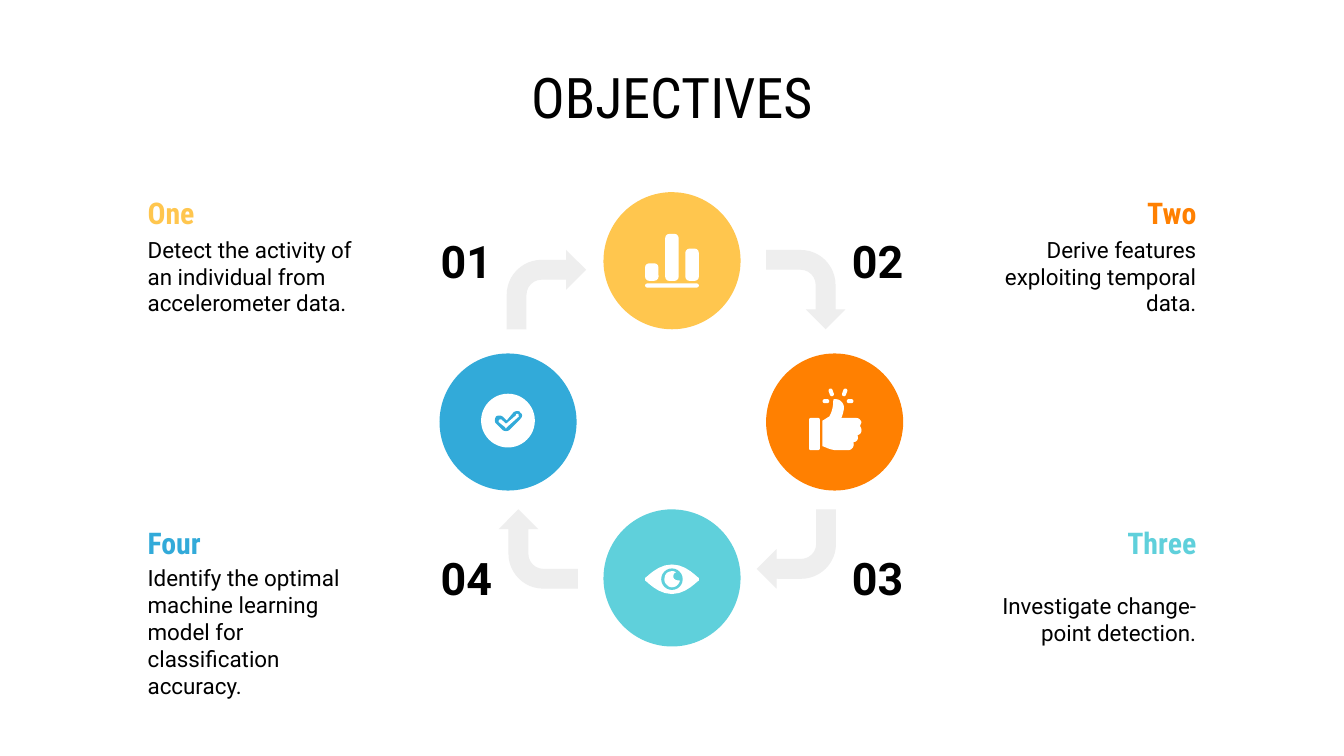
from pptx import Presentation
from pptx.dml.color import RGBColor
from pptx.enum.shapes import MSO_SHAPE as Preset
from pptx.enum.text import MSO_ANCHOR as Anchor, PP_ALIGN as Align
from pptx.util import Inches, Pt

COLORS = {"yellow": "FFC64E", "orange": "FF8001", "teal": "5FD0DB", "blue": "32AAD9",
          "gray": "EEEEEE", "white": "FFFFFF", "black": "000000"}
DISC = 1.02
ARROW = 0.59
HEADING_WIDTH, HEADING_HEIGHT = 2.16, 0.31
BODY_WIDTH = 1.85
NUMBER_WIDTH, NUMBER_HEIGHT = 0.62, 0.4


def paint(shape, color):
    """Give a shape a plain fill without line or shadow."""
    shape.shadow.inherit = False
    shape.fill.solid()
    shape.fill.fore_color.rgb = RGBColor.from_string(COLORS[color])
    shape.line.fill.background()


def add_preset(page, preset, box, color, adjustments=(), rotation=0):
    """Add a plain preset shape in a box of inches."""
    shape = page.shapes.add_shape(preset, *map(Inches, box))
    for index, value in enumerate(adjustments):
        shape.adjustments[index] = value
    shape.rotation = rotation
    paint(shape, color)


def add_outline(page, left, top, start, segments, color, steps=6):
    """Add a closed outline of lines (2 numbers) and cubic curves (6 numbers)."""
    points = [start]
    for segment in segments:
        if len(segment) == 2:
            points.append(segment)
            continue
        knots = (points[-1], segment[:2], segment[2:4], segment[4:])
        for step in range(1, steps + 1):
            t = step / steps
            weights = ((1 - t) ** 3, 3 * t * (1 - t) ** 2, 3 * t * t * (1 - t), t ** 3)
            points.append(tuple(sum(weight * knot[axis] for weight, knot in zip(weights, knots))
                                for axis in (0, 1)))
    places = [(Inches(left + x), Inches(top + y)) for x, y in points]
    builder = page.shapes.build_freeform(*places[0], scale=1.0)
    builder.add_line_segments(places[1:], close=True)
    paint(builder.convert_to_shape(), color)


def add_text(page, box, text, size, font, color="black", bold=False, align=Align.LEFT, inset=0.1):
    """Add one paragraph of wrapped, vertically centred text."""
    frame = page.shapes.add_textbox(*map(Inches, box)).text_frame
    frame.word_wrap = True
    frame.vertical_anchor = Anchor.MIDDLE
    frame.margin_left = frame.margin_right = Inches(inset)
    frame.margin_top = frame.margin_bottom = Inches(inset)
    para = frame.paragraphs[0]
    para.text = text
    para.alignment = align
    para.font.size = Pt(size)
    para.font.name = font
    para.font.bold = bold
    para.font.color.rgb = RGBColor.from_string(COLORS[color])


def add_objective(page, left, top, number, heading, body, body_height, color, on_right, number_drop):
    """Add a heading, its body and the number on the side facing the cycle."""
    align = Align.RIGHT if on_right else Align.LEFT
    body_left = left + HEADING_WIDTH - BODY_WIDTH if on_right else left
    number_left = left - NUMBER_WIDTH if on_right else left + HEADING_WIDTH
    add_text(page, (left, top, HEADING_WIDTH, HEADING_HEIGHT), heading, 16,
             "Roboto Condensed", color, True, align)
    add_text(page, (body_left, top + HEADING_HEIGHT, BODY_WIDTH, body_height), body, 12,
             "Roboto", align=align)
    add_text(page, (number_left, top + number_drop, NUMBER_WIDTH, NUMBER_HEIGHT), number, 24,
             "Roboto", bold=True, align=Align.CENTER, inset=0)


def add_bars_icon(page, left, top):
    """Add three rounded bars on a base line."""
    base = 0.66
    for x, height in ((0.31, 0.13), (0.46, 0.35), (0.61, 0.24)):
        add_preset(page, Preset.ROUNDED_RECTANGLE, (left + x, top + base - height, 0.1, height),
                   "white", (0.3,))
    add_preset(page, Preset.ROUNDED_RECTANGLE, (left + 0.31, top + 0.68, 0.4, 0.03), "white", (0.5,))


def add_thumb_icon(page, left, top):
    """Add a raised thumb with four rays."""
    for x, y, width, height, rotation in ((0.42, 0.34, 0.05, 0.03, 0), (0.6, 0.34, 0.05, 0.03, 0),
                                          (0.47, 0.26, 0.03, 0.06, -20), (0.57, 0.26, 0.03, 0.06, 20)):
        add_preset(page, Preset.ROUNDED_RECTANGLE, (left + x, top + y, width, height),
                   "white", (0.5,), rotation)
    add_preset(page, Preset.ROUNDED_RECTANGLE, (left + 0.32, top + 0.48, 0.08, 0.24), "white", (0.15,))
    add_outline(page, left, top, (0.51, 0.34), [
        (0.5, 0.34, 0.5, 0.35, 0.5, 0.36), (0.5, 0.39, 0.49, 0.44, 0.47, 0.47),
        (0.45, 0.48, 0.44, 0.49, 0.42, 0.5), (0.42, 0.69),
        (0.45, 0.7, 0.48, 0.72, 0.53, 0.72), (0.61, 0.72),
        (0.64, 0.72, 0.66, 0.69, 0.65, 0.66), (0.68, 0.66, 0.69, 0.63, 0.68, 0.61),
        (0.71, 0.6, 0.72, 0.57, 0.7, 0.54), (0.7, 0.53, 0.71, 0.52, 0.71, 0.51),
        (0.7, 0.49, 0.69, 0.48, 0.67, 0.48), (0.56, 0.48),
        (0.57, 0.46, 0.58, 0.42, 0.58, 0.4), (0.58, 0.37, 0.55, 0.34, 0.52, 0.34)], "white")


def add_eye_icon(page, left, top):
    """Add an eye with a ringed iris and a notched pupil."""
    add_outline(page, left, top, (0.51, 0.41), [
        (0.4, 0.41, 0.32, 0.51, 0.31, 0.51), (0.31, 0.53),
        (0.32, 0.53, 0.4, 0.63, 0.51, 0.63), (0.62, 0.63, 0.7, 0.53, 0.71, 0.53),
        (0.71, 0.51), (0.7, 0.51, 0.62, 0.41, 0.51, 0.41)], "white")
    add_preset(page, Preset.OVAL, (left + 0.43, top + 0.44, 0.16, 0.16), "teal")
    add_outline(page, left, top, (0.51, 0.46), [
        (0.49, 0.46, 0.47, 0.47, 0.46, 0.49), (0.45, 0.52, 0.45, 0.54, 0.47, 0.56),
        (0.48, 0.57, 0.49, 0.58, 0.51, 0.58), (0.54, 0.58, 0.56, 0.56, 0.57, 0.53),
        (0.54, 0.53, 0.52, 0.52, 0.52, 0.5), (0.52, 0.48, 0.53, 0.47, 0.54, 0.47),
        (0.53, 0.46, 0.52, 0.46, 0.51, 0.46)], "white")


def add_check_icon(page, left, top):
    """Add an outlined check mark in a white disc."""
    add_preset(page, Preset.OVAL, (left + 0.31, top + 0.3, 0.4, 0.4), "white")
    add_outline(page, left, top, (0.58, 0.43), [
        (0.59, 0.43, 0.6, 0.43, 0.6, 0.44), (0.62, 0.45, 0.62, 0.47, 0.6, 0.49), (0.52, 0.57),
        (0.51, 0.58, 0.48, 0.58, 0.47, 0.57), (0.42, 0.52),
        (0.41, 0.51, 0.41, 0.49, 0.42, 0.47), (0.43, 0.46, 0.46, 0.46, 0.47, 0.47),
        (0.5, 0.5), (0.55, 0.44), (0.56, 0.43, 0.57, 0.43, 0.58, 0.43)], "blue")
    add_outline(page, left, top, (0.58, 0.45), [
        (0.57, 0.45, 0.57, 0.45, 0.57, 0.46), (0.5, 0.52),
        (0.49, 0.52, 0.49, 0.52, 0.49, 0.52), (0.46, 0.49),
        (0.45, 0.49, 0.44, 0.49, 0.44, 0.51), (0.49, 0.55),
        (0.49, 0.56, 0.5, 0.56, 0.5, 0.55), (0.59, 0.47),
        (0.59, 0.46, 0.59, 0.45, 0.58, 0.45)], "white")


def add_cycle(page, left, top):
    """Add four icon discs linked by bent arrows."""
    for x, y, color, add_icon in ((1.22, 0, "yellow", add_bars_icon), (2.43, 1.2, "orange", add_thumb_icon),
                                  (1.22, 2.36, "teal", add_eye_icon), (0, 1.2, "blue", add_check_icon)):
        add_preset(page, Preset.ROUNDED_RECTANGLE, (left + x, top + y, DISC, DISC), color, (0.5,))
        add_icon(page, left + x, top + y)
    for turn, (x, y) in enumerate(((0.5, 0.43), (2.43, 0.43), (2.36, 2.36), (0.44, 2.36))):
        add_preset(page, Preset.BENT_ARROW, (left + x, top + y, ARROW, ARROW), "gray",
                   (0.25, 0.25, 0.25, 0.44), 90 * turn)


def build_objectives(deck):
    """Add the objectives slide."""
    page = deck.slides.add_slide(deck.slide_layouts[6])
    add_text(page, (0.5, 0.45, 9, 0.53), "OBJECTIVES", 30, "Roboto Condensed", align=Align.CENTER)
    add_cycle(page, 3.27, 1.43)
    objectives = (
        ("01", "One", "Detect the activity of an individual from accelerometer data.", 0.63, "yellow"),
        ("02", "Two", "Derive features exploiting temporal data.", 0.63, "orange"),
        ("03", "Three", "Investigate change-point detection.", 0.83, "teal"),
        ("04", "Four", "Identify the optimal machine learning model for classification accuracy.",
         1.02, "blue"))
    for index, objective in enumerate(objectives):
        on_right = index in (1, 2)
        top, number_drop = (1.43, 0.31) if index < 2 else (3.88, 0.22)
        add_objective(page, 6.84 if on_right else 1, top, *objective, on_right, number_drop)


def main():
    """Build and save the deck."""
    deck = Presentation()
    deck.slide_width = Inches(10)
    deck.slide_height = deck.slide_width * 9 // 16
    build_objectives(deck)
    deck.save("out.pptx")


if __name__ == "__main__":
    main()
